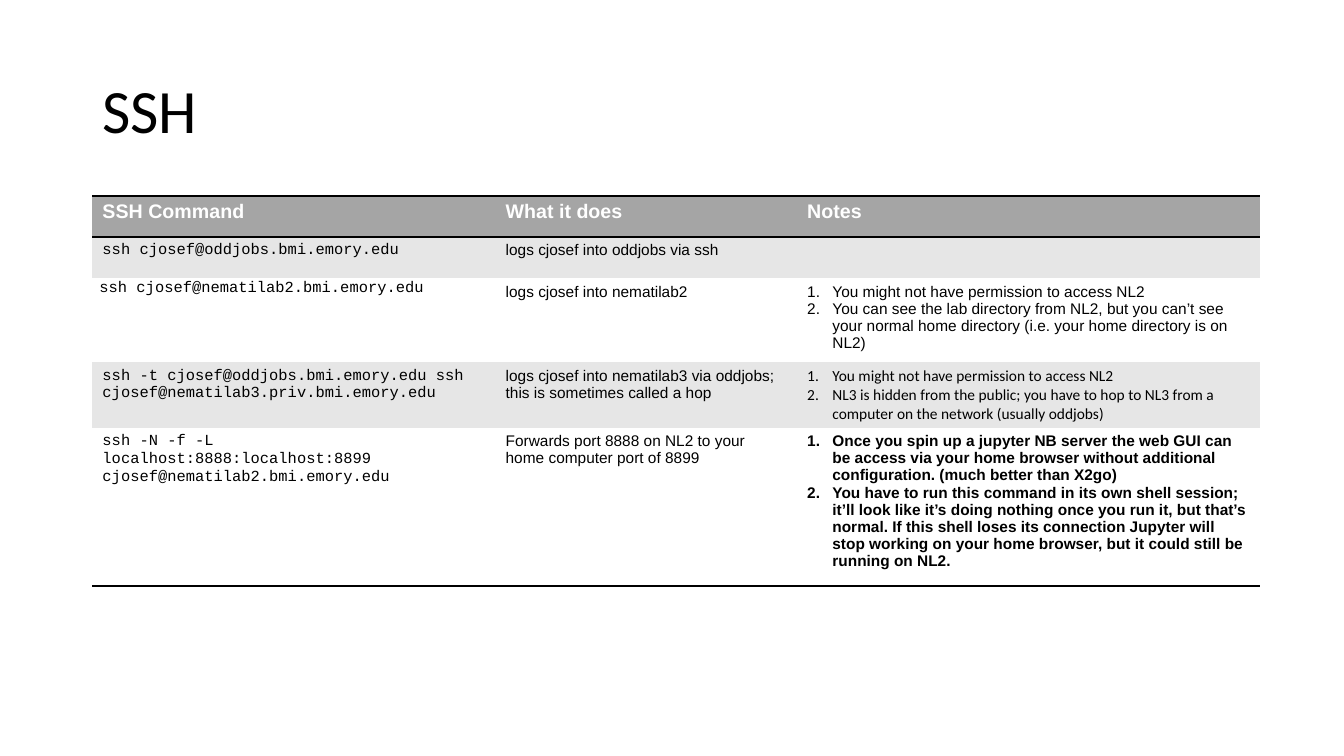
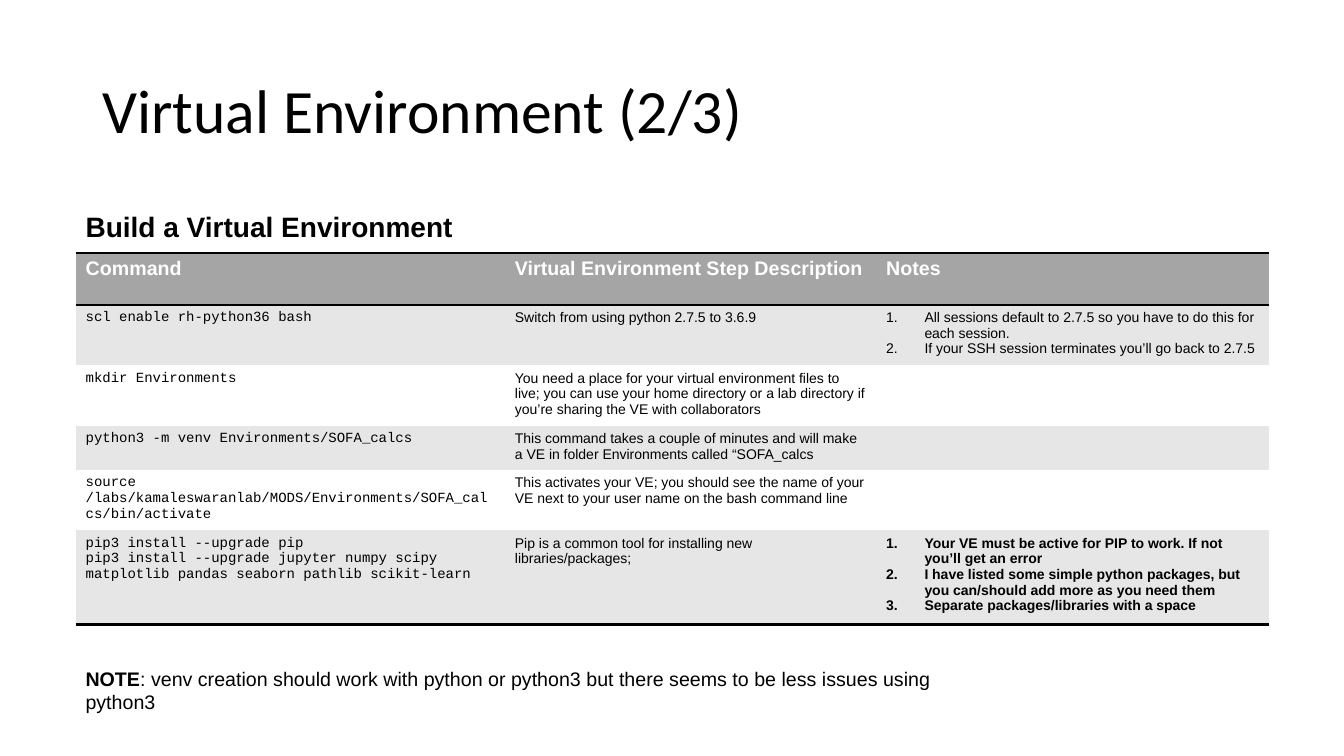
"""Build two slides of annotated shell commands, each a titled three-column table."""
from collections.abc import Sequence
from dataclasses import dataclass

from lxml.etree import SubElement
from pptx import Presentation
from pptx.dml.color import RGBColor as Rgb
from pptx.enum.text import MSO_ANCHOR as Anchor
from pptx.oxml import parse_xml
from pptx.oxml.ns import nsdecls, qn
from pptx.slide import Slide
from pptx.table import _Cell as Cell
from pptx.text.text import TextFrame
from pptx.util import Emu, Inches, Pt

GRID_COLS, GRID_ROWS = 160, 90
SLIDE_W, SLIDE_H = Inches(13.33), Inches(7.5)
PLAIN_TABLE = "{2D5ABB26-0587-4C30-8999-92F81FD0307C}"


@dataclass(frozen=True)
class Theme:
    """Colours, fonts, type sizes and line width."""
    ink: str = "000000"
    paper: str = "FFFFFF"
    header: str = "A5A5A5"
    band: str = "E6E6E6"
    sans: str = "Arial"
    heading: str = "Calibri"
    mono: str = "Courier New"
    title_size: float = 44
    subtitle_size: float = 20
    label_size: float = 14
    rule: float = 2


THEME = Theme()


@dataclass(frozen=True)
class Box:
    """Place and size in grid columns and rows."""
    col: float
    row: float
    cols: float
    rows: float


@dataclass(frozen=True)
class Run:
    """Text with one look."""
    text: str
    size: float
    font: str = THEME.sans
    bold: bool = False
    color: str = THEME.ink


@dataclass(frozen=True)
class Command:
    """One body row: the command lines, what they do, numbered remarks."""
    lines: tuple[str, ...]
    does: str
    remarks: tuple[str, ...] = ()
    remark_font: str = THEME.sans
    remark_bold: bool = False
    tight: bool = False


@dataclass(frozen=True)
class CommandTable:
    """A table with its place, column widths, row heights and type size."""
    col: float
    row: float
    widths: tuple[float, ...]
    heights: tuple[float, ...]
    size: float
    indent: float
    heads: tuple[str, ...]
    commands: tuple[Command, ...]


TITLE_BOX = Box(11, 4.8, 138, 17.4)
SUBTITLE_BOX = Box(9, 24.4, 56.6, 5.3)
FOOT_BOX = Box(9, 78.8, 111.8, 4.1)

SSH = CommandTable(
    11, 23.3, (48, 35.9, 55.1), (4.9,) * 5, 11, 0.25,
    ("SSH Command", "What it does", "Notes"),
    (
        Command(("ssh cjosef@oddjobs.bmi.emory.edu",), "logs cjosef into oddjobs via ssh"),
        Command(
            ("ssh cjosef@nematilab2.bmi.emory.edu",), "logs cjosef into nematilab2",
            ("You might not have permission to access NL2",
             "You can see the lab directory from NL2, but you can’t see your normal home "
             "directory (i.e. your home directory is on NL2)"),
            tight=True),
        Command(
            ("ssh -t cjosef@oddjobs.bmi.emory.edu ssh cjosef@nematilab3.priv.bmi.emory.edu",),
            "logs cjosef into nematilab3 via oddjobs; this is sometimes called a hop",
            ("You might not have permission to access NL2",
             "NL3 is hidden from the public; you have to hop to NL3 from a computer on the "
             "network (usually oddjobs)"),
            remark_font=THEME.heading),
        Command(
            ("ssh -N -f -L localhost:8888:localhost:8899 cjosef@nematilab2.bmi.emory.edu",),
            "Forwards port 8888 on NL2 to your home computer port of 8899",
            ("Once you spin up a jupyter NB server the web GUI can be access via your home "
             "browser without additional configuration. (much better than X2go)",
             "You have to run this command in its own shell session; it’ll look like it’s "
             "doing nothing once you run it, but that’s normal. If this shell loses its "
             "connection Jupyter will stop working on your home browser, but it could still "
             "be running on NL2."),
            remark_bold=True),
    ))

VENV = CommandTable(
    9, 30.1, (51.1, 44.2, 46.8), (6.2, 6) + (4.9,) * 4, 10, 0.38,
    ("Command", "Virtual Environment Step Description", "Notes"),
    (
        Command(
            ("scl enable rh-python36 bash",), "Switch from using python 2.7.5 to 3.6.9",
            ("All sessions default to 2.7.5 so you have to do this for each session.",
             "If your SSH session terminates you’ll go back to 2.7.5")),
        Command(
            ("mkdir Environments",),
            "You need a place for your virtual environment files to live; you can use your "
            "home directory or a lab directory if you’re sharing the VE with collaborators"),
        Command(
            ("python3 -m venv Environments/SOFA_calcs",),
            "This command takes a couple of minutes and will make a VE in folder "
            "Environments called “SOFA_calcs"),
        Command(
            ("source /labs/kamaleswaranlab/MODS/Environments/SOFA_calcs/bin/activate",),
            "This activates your VE; you should see the name of your VE next to your user "
            "name on the bash command line"),
        Command(
            ("pip3 install --upgrade pip",
             "pip3 install --upgrade jupyter numpy scipy matplotlib pandas seaborn pathlib "
             "scikit-learn"),
            "Pip is a common tool for installing new libraries/packages;",
            ("Your VE must be active for PIP to work. If not you’ll get an error",
             "I have listed some simple python packages, but you can/should add more as you "
             "need them",
             "Separate packages/libraries with a space"),
            remark_bold=True),
    ))


def across(cols: float) -> Emu:
    """Turn grid columns into a length."""
    return Emu(round(SLIDE_W * cols / GRID_COLS))


def down(rows: float) -> Emu:
    """Turn grid rows into a length."""
    return Emu(round(SLIDE_H * rows / GRID_ROWS))


def write(tf: TextFrame, paragraphs: Sequence[Sequence[Run]], spacing: float | None = None,
          indent: float = 0) -> None:
    """Fill a text frame run by run, numbering the paragraphs if indented."""
    for i, runs in enumerate(paragraphs):
        p = tf.add_paragraph() if i else tf.paragraphs[0]
        if spacing:
            p.line_spacing = spacing
        if indent:
            number(p._p.get_or_add_pPr(), indent)
        for run in runs:
            r = p.add_run()
            r.text = run.text
            r.font.size, r.font.name, r.font.bold = Pt(run.size), run.font, run.bold
            r.font.color.rgb = Rgb.from_string(run.color)


def number(p_pr, indent: float) -> None:
    """Give a paragraph a hanging automatic number."""
    p_pr.set("marL", str(Inches(indent)))
    p_pr.set("indent", str(-Inches(indent)))
    SubElement(SubElement(p_pr, qn("a:buClr")), qn("a:srgbClr"), val=THEME.ink)
    SubElement(p_pr, qn("a:buAutoNum"), type="arabicPeriod")


def add_text(slide: Slide, box: Box, runs: Sequence[Run], anchor: Anchor = Anchor.TOP,
             spacing: float | None = None) -> None:
    """Add a wrapped one-paragraph text box."""
    sp = slide.shapes.add_textbox(across(box.col), down(box.row), across(box.cols), down(box.rows))
    tf = sp.text_frame
    tf.word_wrap, tf.vertical_anchor = True, anchor
    write(tf, [runs], spacing)


def style_cell(cell: Cell, fill: str, edges: str) -> None:
    """Fill a cell and rule the named edges (T, B)."""
    cell.fill.solid()
    cell.fill.fore_color.rgb = Rgb.from_string(fill)
    for i, edge in enumerate(edges):
        cell._tc.get_or_add_tcPr().insert(i, parse_xml(
            f'<a:ln{edge} {nsdecls("a")} w="{Pt(THEME.rule)}"><a:solidFill>'
            f'<a:srgbClr val="{THEME.ink}"/></a:solidFill></a:ln{edge}>'))


def add_command_table(slide: Slide, data: CommandTable) -> None:
    """Draw the header and the banded command rows."""
    frame = slide.shapes.add_table(
        len(data.heights), len(data.widths), across(data.col), down(data.row),
        across(sum(data.widths)), down(sum(data.heights)))
    frame._element.xpath(".//a:tableStyleId")[0].text = PLAIN_TABLE
    table = frame.table
    for column, width in zip(table.columns, data.widths):
        column.width = across(width)
    for row, height in zip(table.rows, data.heights):
        row.height = down(height)
    for cell, head in zip(table.rows[0].cells, data.heads):
        style_cell(cell, THEME.header, "TB")
        write(cell.text_frame, [[Run(head, THEME.label_size, bold=True, color=THEME.paper)]])
    for i, command in enumerate(data.commands, 1):
        cells = list(table.rows[i].cells)
        for cell in cells:
            style_cell(cell, THEME.band if i % 2 else THEME.paper,
                       "B" if i == len(data.commands) else "")
        if command.tight:
            cells[0].margin_left = cells[0].margin_right = Inches(0.07)
            cells[0].margin_top = cells[0].margin_bottom = 0
        write(cells[0].text_frame, [[Run(t, data.size, THEME.mono)] for t in command.lines],
              1.07 if command.tight else None)
        write(cells[1].text_frame, [[Run(command.does, data.size)]])
        write(cells[2].text_frame,
              [[Run(t, data.size, command.remark_font, command.remark_bold)]
               for t in command.remarks], indent=data.indent)


def add_table_slide(prs: Presentation, title: str, data: CommandTable) -> Slide:
    """Add a blank slide with the shared title and a command table."""
    slide = prs.slides.add_slide(prs.slide_layouts[6])
    add_text(slide, TITLE_BOX, [Run(title, THEME.title_size, THEME.heading)], Anchor.MIDDLE, 0.9)
    add_command_table(slide, data)
    return slide


def main() -> None:
    """Build and save the presentation."""
    prs = Presentation()
    prs.slide_width, prs.slide_height = SLIDE_W, SLIDE_H
    add_table_slide(prs, "SSH", SSH)
    slide = add_table_slide(prs, "Virtual Environment (2/3)", VENV)
    add_text(slide, SUBTITLE_BOX,
             [Run("Build a Virtual Environment", THEME.subtitle_size, bold=True)])
    add_text(slide, FOOT_BOX, [
        Run("NOTE", THEME.label_size, bold=True),
        Run(": venv creation should work with python or python3 but there seems to be less "
            "issues using python3", THEME.label_size)])
    prs.save("out.pptx")


if __name__ == "__main__":
    main()
